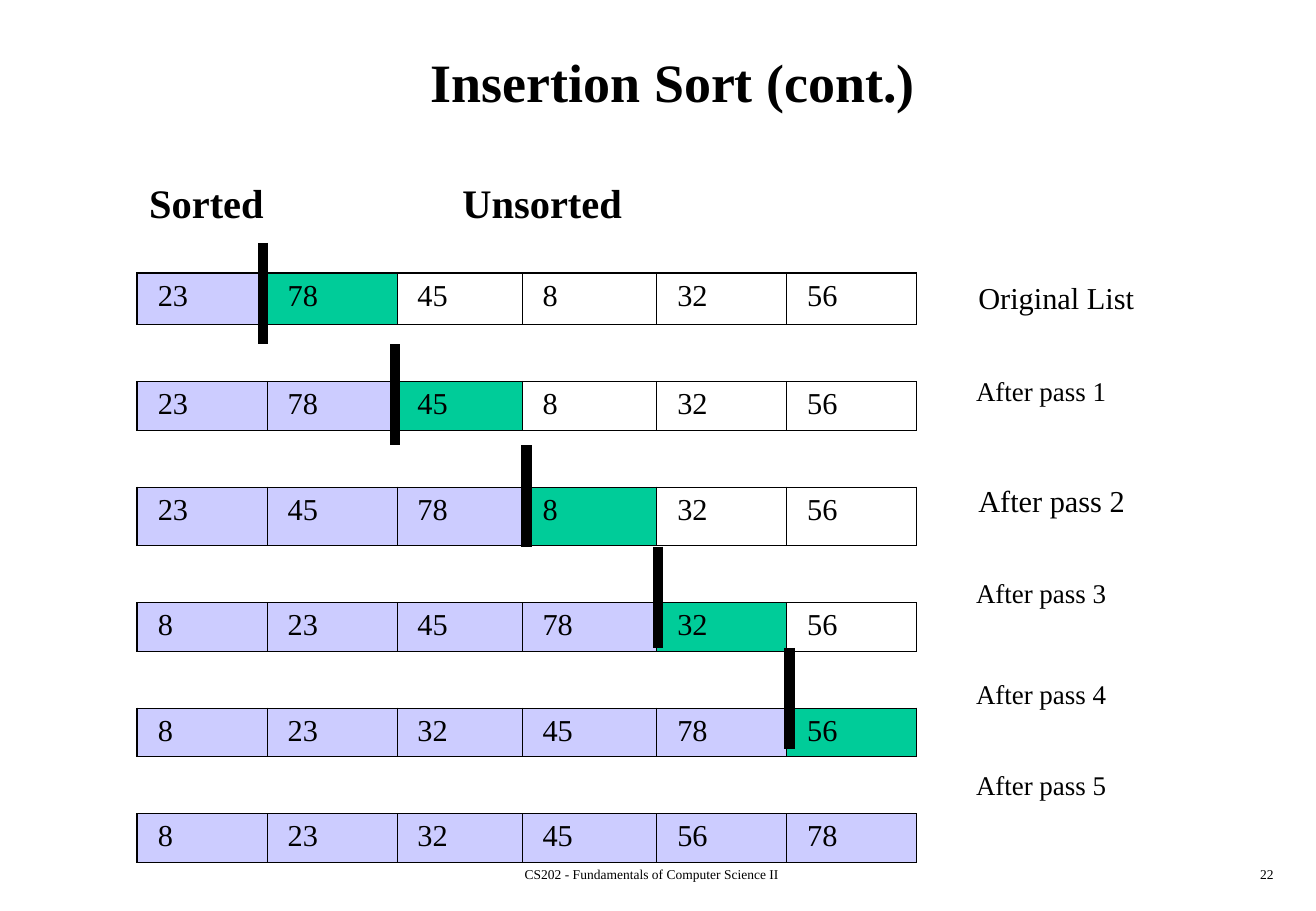
"""Build the insertion sort slide, showing the list after each pass."""
from lxml import etree
from pptx import Presentation, util as u
from pptx.dml.color import RGBColor
from pptx.enum import shapes, text
from pptx.oxml import ns

BLACK = RGBColor(0, 0, 0)
SORTED_FILL = RGBColor(0xCC, 0xCC, 0xFF)
KEY_FILL = RGBColor(0, 0xCC, 0x99)
FONT = "Times New Roman"
NO_STYLE = "{2D5ABB26-0587-4C30-8999-92F81FD0307C}"
THIN, THICK = 0.45, 1.08

NUMBERS = [23, 78, 45, 8, 32, 56]
COLUMN_WIDTHS = [1.07, 1.07, 1.03, 1.11, 1.07, 1.07]
PASS_HEIGHTS = [0.42, 0.4, 0.48, 0.4, 0.4, 0.4]
GAP_HEIGHT = 0.47
PASS_LABELS = [
    ("Original List", 2.25, True),
    ("After pass 1", 3.08, False),
    ("After pass 2", 3.92, True),
    ("After pass 3", 4.75, False),
    ("After pass 4", 5.58, False),
    ("After pass 5", 6.33, False),
]


def style_paragraph(p, size, bold=False):
    """Set the font of a paragraph."""
    p.font.name = FONT
    p.font.size = u.Pt(size)
    p.font.bold = bold
    p.font.color.rgb = BLACK


def add_text(s, words, box, size, bold=False, align=text.PP_ALIGN.LEFT,
             anchor=text.MSO_ANCHOR.TOP, inset=True):
    """Add one line of text in a box given in inches."""
    tf = s.shapes.add_textbox(*map(u.Inches, box)).text_frame
    tf.word_wrap = True
    tf.vertical_anchor = anchor
    tf.margin_left = tf.margin_right = u.Inches(0.1 if inset else 0)
    tf.margin_top = tf.margin_bottom = u.Inches(0.05 if inset else 0)
    p = tf.paragraphs[0]
    p.text = words
    p.alignment = align
    style_paragraph(p, size, bold)


def set_borders(cell, widths):
    """Draw the left, right, top and bottom borders of a cell."""
    props = cell._tc.get_or_add_tcPr()
    for index, (side, width) in enumerate(zip("LRTB", widths)):
        ln = etree.Element(ns.qn(f"a:ln{side}"), w=str(u.Pt(width)))
        fill = etree.SubElement(ln, ns.qn("a:solidFill"))
        etree.SubElement(fill, ns.qn("a:srgbClr"), val=str(BLACK))
        props.insert(index, ln)


def fill_pass(table, number):
    """Write the list after one pass, with its sorted part and key coloured."""
    last = len(NUMBERS) - 1
    values = sorted(NUMBERS[:number + 1]) + NUMBERS[number + 1:]
    for col, value in enumerate(values):
        cell = table.cell(2 * number, col)
        cell.margin_left = u.Inches(0.17)
        p = cell.text_frame.paragraphs[0]
        p.text = str(value)
        style_paragraph(p, 18)
        if col <= number + 1:
            cell.fill.solid()
            cell.fill.fore_color.rgb = SORTED_FILL if col <= number else KEY_FILL
        edges = (col == 0, col == last, number == 0, number == last)
        set_borders(cell, [THICK if edge else THIN for edge in edges])


def add_passes(s, left, top):
    """Add the table of passes, with an empty row between each two."""
    heights = [PASS_HEIGHTS[0]]
    for height in PASS_HEIGHTS[1:]:
        heights += [GAP_HEIGHT, height]
    box = (left, top, sum(COLUMN_WIDTHS), sum(heights))
    frame = s.shapes.add_table(len(heights), len(COLUMN_WIDTHS),
                               *map(u.Inches, box))
    table = frame.table
    table.first_row = table.horz_banding = False
    table._tbl.tblPr.find(ns.qn("a:tableStyleId")).text = NO_STYLE
    for column, width in zip(table.columns, COLUMN_WIDTHS):
        column.width = u.Inches(width)
    for row, height in zip(table.rows, heights):
        row.height = u.Inches(height)
        for cell in row.cells:
            cell.fill.background()
            cell.margin_right = u.Inches(0.1)
    for number in range(len(NUMBERS)):
        fill_pass(table, number)


def add_dividers(s, left, top):
    """Add the bars between the sorted and unsorted parts."""
    step_x, step_y = 6.5 / 6, 2.5 / 3
    for number in range(len(NUMBERS) - 1):
        x, y = left + number * step_x, top + number * step_y
        bar = s.shapes.add_connector(shapes.MSO_CONNECTOR.STRAIGHT,
                                     *map(u.Inches, (x, y, x, y + step_y)))
        bar.line.color.rgb = BLACK
        bar.line.width = u.Pt(6)
        etree.SubElement(bar._element.spPr, ns.qn("a:effectLst"))


def add_labels(s, left):
    """Add the name of each pass beside the table."""
    for words, top, large in PASS_LABELS:
        x = left if large else left + 0.08
        add_text(s, words, (x, top, 1.88, 0.38), 18 if large else 16,
                 inset=large)


def add_footer(s, top):
    """Add the course name and the slide number."""
    add_text(s, "CS202 - Fundamentals of Computer Science II",
             (3.34, top, 4.06, 0.25), 8, align=text.PP_ALIGN.CENTER)
    add_text(s, "22", (8.33, top, 2.26, 0.25), 8, align=text.PP_ALIGN.RIGHT)


def main():
    """Build and save the slide."""
    prs = Presentation()
    prs.slide_width, prs.slide_height = u.Inches(10.84), u.Inches(7.5)
    s = prs.slides.add_slide(prs.slide_layouts[6])
    add_text(s, "Insertion Sort (cont.)", (0.42, 0.17, 10.25, 1), 32, True,
             text.PP_ALIGN.CENTER, text.MSO_ANCHOR.MIDDLE)
    add_labels(s, 7.96)
    add_passes(s, 1.13, 2.25)
    for words, left in (("Sorted", 1.13), ("Unsorted", 3.71)):
        add_text(s, words, (left, 1.42, 1.58, 0.5), 24, True)
    add_dividers(s, 2.17, 2)
    add_footer(s, 7.08)
    prs.save("out.pptx")


if __name__ == "__main__":
    main()
